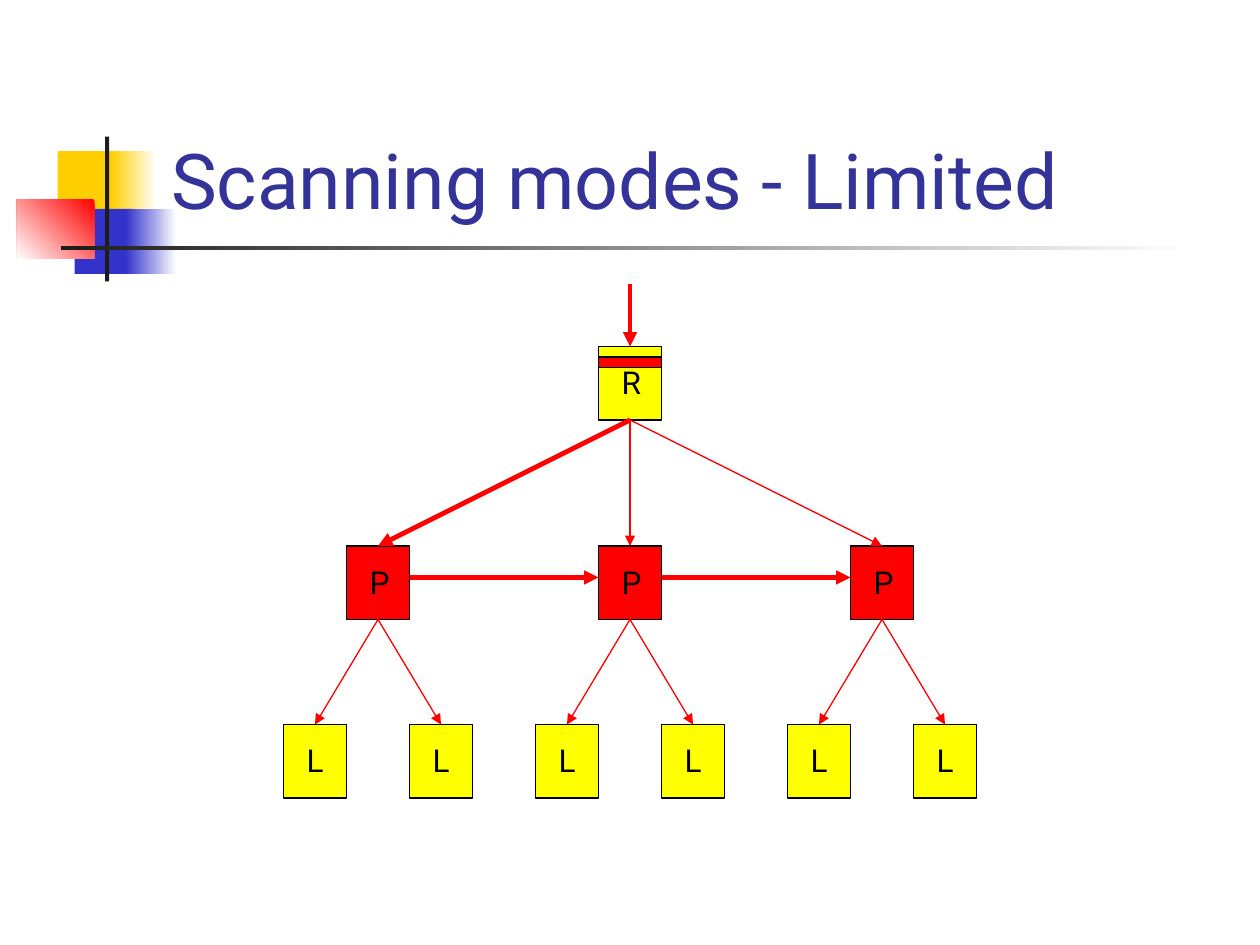
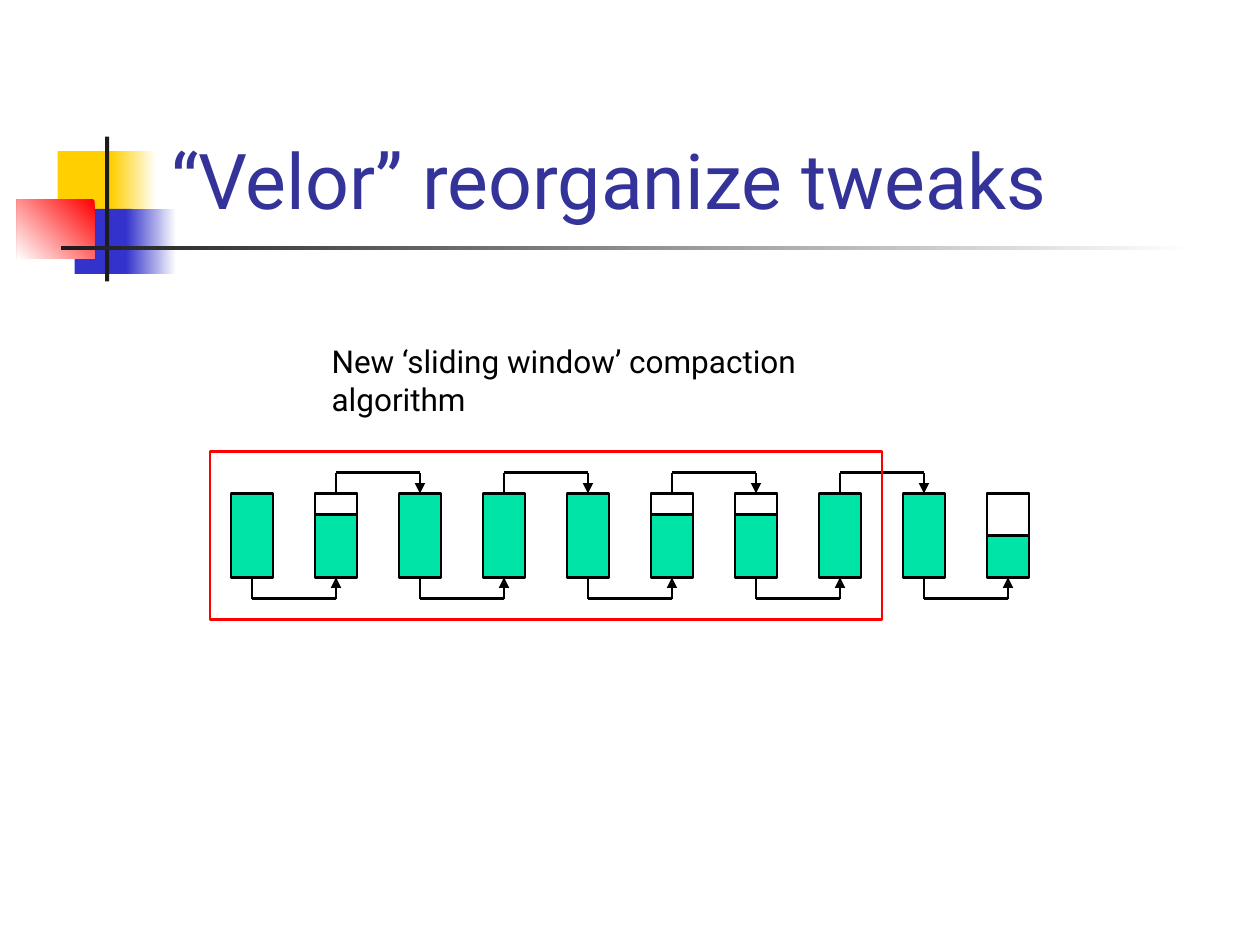
"""Build two slides on index scans and page compaction."""
from lxml import etree
from pptx import Presentation
from pptx import util as u
from pptx.dml.color import RGBColor
from pptx.enum import shapes, text
from pptx.oxml.ns import qn

PX = 7620
FONT = "Roboto"
BLACK = RGBColor(0x00, 0x00, 0x00)
WHITE = RGBColor(0xFF, 0xFF, 0xFF)
RED = RGBColor(0xFF, 0x00, 0x00)
YELLOW = RGBColor(0xFF, 0xFF, 0x00)
GREEN = RGBColor(0x00, 0xE4, 0xA8)
GOLD = RGBColor(0xFF, 0xCF, 0x01)
BLUE = RGBColor(0x33, 0x33, 0xCC)
NAVY = RGBColor(0x33, 0x33, 0x99)
INK = RGBColor(0x1C, 0x1C, 0x1C)
THIN, MEDIUM, THICK = 0.75, 1.5, 2.75

MOTIF = [
    ((55, 144, 58, 62), GOLD, None),
    ((106, 144, 43, 62), GOLD, 0),
    ((71, 199, 55, 62), BLUE, None),
    ((120, 199, 48, 62), BLUE, 0),
    ((16, 190, 74, 56), RED, 225),
    ((100, 130, 4, 138), INK, None),
    ((58, 234, 1080, 4), INK, 0),
]


def px(*values):
    return [u.Emu(v * PX) for v in values]


class Deck:
    """Hold the presentation, its style and the current slide."""

    def __init__(self):
        self.prs = Presentation()
        self.prs.slide_width, self.prs.slide_height = px(1200, 900)
        self.layout = self.prs.slide_layouts[5]
        self.s = None

    def slide(self, title):
        self.s = self.prs.slides.add_slide(self.layout)
        sp = self.s.shapes.title
        sp.left, sp.top, sp.width, sp.height = px(151, 28, 1022, 192)
        tf = sp.text_frame
        tf.vertical_anchor = text.MSO_ANCHOR.BOTTOM
        tf.auto_size = text.MSO_AUTO_SIZE.NONE
        self.label(tf, title, 44, NAVY)

    def motif(self):
        for i, (place, color, angle) in enumerate(MOTIF):
            sp = self.box(place, color)
            if angle is not None:
                sp.fill.gradient()
                sp.fill.gradient_angle = angle
                for stop, c in zip(sp.fill.gradient_stops, (color, WHITE)):
                    stop.color.rgb = c
            sp.element.nvSpPr.cNvPr.set("id", str(20 + i))
            self.layout.shapes.element.append(sp.element)

    def label(self, tf, words, size, color):
        tf.text = words
        p = tf.paragraphs[0]
        p.alignment = text.PP_ALIGN.LEFT
        r = p.runs[0]
        r.font.name, r.font.size = FONT, u.Pt(size)
        r.font.color.rgb = color

    def box(self, place, fill=None, line=None, width=THIN):
        sp = self.s.shapes.add_shape(shapes.MSO_SHAPE.RECTANGLE, *px(*place))
        sp.shadow.inherit = False
        if fill is None:
            sp.fill.background()
        else:
            sp.fill.solid()
            sp.fill.fore_color.rgb = fill
        if line is None:
            sp.line.fill.background()
        else:
            sp.line.color.rgb = line
            sp.line.width = u.Pt(width)
        return sp

    def node(self, x, y, letter, fill):
        tf = self.box((x - 30, y, 60, 70), fill, BLACK).text_frame
        tf.vertical_anchor = text.MSO_ANCHOR.TOP
        tf.margin_left, tf.margin_top, tf.margin_right = px(22, 16, 0)
        self.label(tf, letter, 18, BLACK)

    def textbox(self, place, words):
        tf = self.s.shapes.add_textbox(*px(*place)).text_frame
        tf.word_wrap = True
        self.label(tf, words, 18, BLACK)

    def line(self, start, end, color, width, arrow=True):
        c = self.s.shapes.add_connector(
            shapes.MSO_CONNECTOR.STRAIGHT, *px(*start, *end))
        c.line.color.rgb = color
        c.line.width = u.Pt(width)
        spPr = c.element.spPr
        if arrow:
            etree.SubElement(spPr.find(qn("a:ln")), qn("a:tailEnd"), type="triangle")
        etree.SubElement(spPr, qn("a:effectLst"))

    def elbow(self, x1, x2, y, turn):
        points = [(x1, y), (x1, turn), (x2, turn), (x2, y)]
        for i, (start, end) in enumerate(zip(points, points[1:])):
            self.line(start, end, BLACK, MEDIUM, arrow=i == 2)


def scanning(d):
    d.slide("Scanning modes - Limited")
    d.motif()
    root, parents = 600, (360, 600, 840)
    for x in parents:
        d.node(x, 520, "P", RED)
        for leaf in (x - 60, x + 60):
            d.node(leaf, 690, "L", YELLOW)
            d.line((x, 590), (leaf, 690), RED, THIN)
    d.node(root, 330, "R", YELLOW)
    for x in parents:
        d.line((root, 400), (x, 520), RED, THICK if x == parents[0] else THIN)
    for a, b in zip(parents, parents[1:]):
        d.line((a + 30, 550), (b - 30, 550), RED, THICK)
    d.line((root, 270), (root, 330), RED, THICK)
    d.box((root - 30, 340, 60, 10), RED, BLACK)


def compaction(d):
    d.slide("“Velor” reorganize tweaks")
    top, height, step, count = 470, 80, 80, 10
    free = {1: 20, 5: 20, 6: 20, 9: 40}
    for i in range(count):
        x = 220 + step * i
        d.box((x, top, 40, height), GREEN, BLACK, MEDIUM)
        if i in free:
            d.box((x, top, 40, free[i]), WHITE, BLACK, MEDIUM)
    for i in range(count - 1):
        x = 240 + step * i
        y, turn = (top, top - 20) if i % 2 else (top + height, top + height + 20)
        d.elbow(x, x + step, y, turn)
    d.box((200, 430, 640, 160), None, RED, MEDIUM)
    d.textbox((304, 320, 594, 84), "New ‘sliding window’ compaction algorithm")


def main():
    d = Deck()
    scanning(d)
    compaction(d)
    d.prs.save("out.pptx")


if __name__ == "__main__":
    main()
